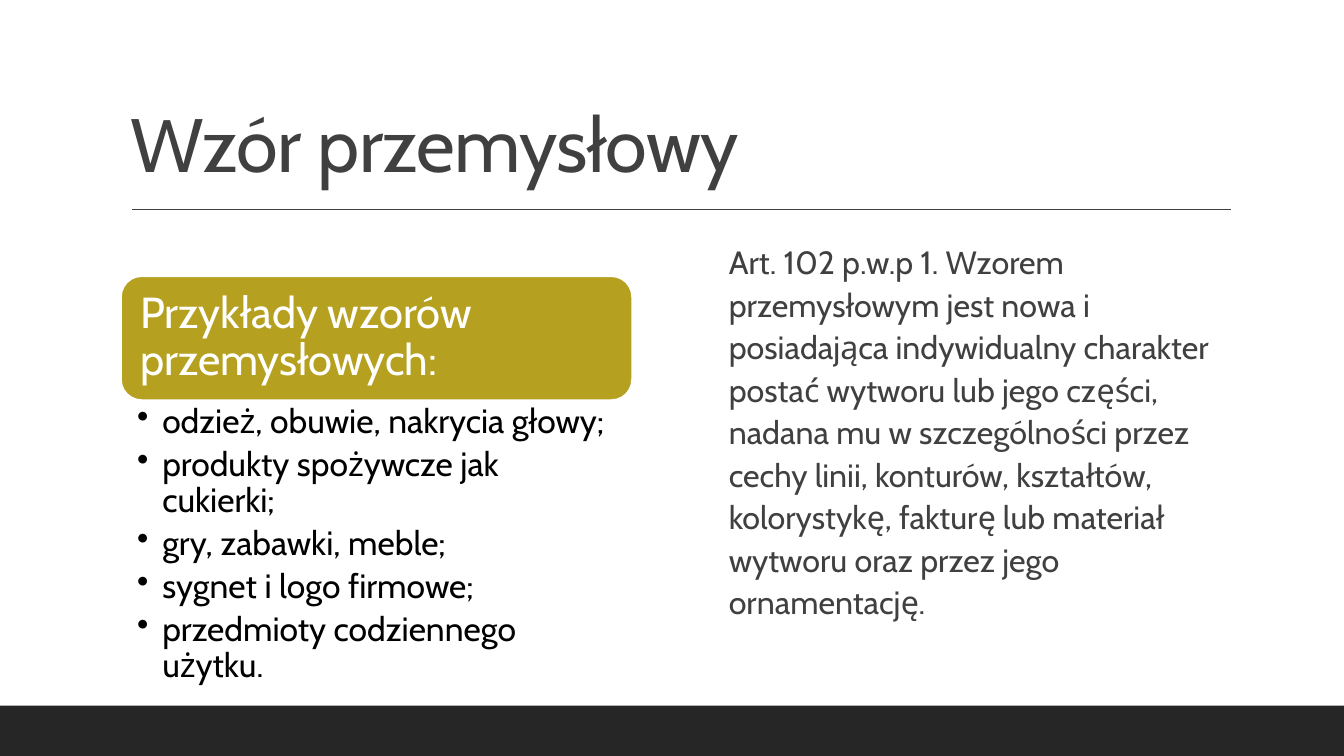
from dataclasses import dataclass

from lxml import etree
from pptx import Presentation
from pptx import util as u
from pptx.dml.color import RGBColor
from pptx.enum import shapes as sh, text as tx
from pptx.oxml.ns import qn
from pptx.shapes.base import BaseShape


@dataclass(frozen=True)
class Theme:
    font: str = "Cabin"
    ink: str = "404040"
    black: str = "000000"
    white: str = "FFFFFF"
    gold: str = "B6A020"
    dark: str = "262626"
    title: int = 54
    head: int = 31
    list: int = 24
    body: int = 23


@dataclass(frozen=True)
class Box:
    left: float
    top: float
    width: float
    height: float

    def span(self) -> list[int]:
        return [u.Inches(n) for n in (self.left, self.top, self.width, self.height)]


@dataclass(frozen=True)
class Style:
    size: int
    color: str
    pad: tuple[float, float, float, float]  # left, top, right, bottom
    line: float
    after: float = 0
    anchor: tx.MSO_ANCHOR = tx.MSO_ANCHOR.TOP
    indent: float = 0
    bullet: str = ""
    track: int = 0  # hundredths of a point


T = Theme()
TITLE = Style(T.title, T.ink, (0.1, 0.05, 0.1, 0.05), 0.8,
              anchor=tx.MSO_ANCHOR.BOTTOM, track=-50)
HEAD = Style(T.head, T.white, (0.13,) * 4, 0.9, anchor=tx.MSO_ANCHOR.MIDDLE)
LIST = Style(T.list, T.black, (0.16, 0.04, 0.24, 0.04), 0.9, after=4.8,
             indent=0.25, bullet="•")
BODY = Style(T.body, T.ink, (0.1, 0.05, 0, 0.05), 1.1, after=2)

ITEMS = [
    "odzież, obuwie, nakrycia głowy;",
    "produkty spożywcze jak cukierki;",
    "gry, zabawki, meble;",
    "sygnet i logo firmowe;",
    "przedmioty codziennego użytku.",
]
LAW = (
    "Art. 102 p.w.p 1. Wzorem przemysłowym jest nowa i posiadająca "
    "indywidualny charakter postać wytworu lub jego części, nadana mu w "
    "szczególności przez cechy linii, konturów, kształtów, kolorystykę, "
    "fakturę lub materiał wytworu oraz przez jego ornamentację."
)


def write(shape: BaseShape, lines: list[str], style: Style) -> None:
    frame = shape.text_frame
    frame.text = "\n".join(lines)
    frame.word_wrap = True
    frame.vertical_anchor = style.anchor
    (frame.margin_left, frame.margin_top,
     frame.margin_right, frame.margin_bottom) = map(u.Inches, style.pad)
    for para in frame.paragraphs:
        para.alignment = tx.PP_ALIGN.LEFT
        para.line_spacing = style.line
        para.space_after = u.Pt(style.after)
        if style.bullet:
            props = para._p.get_or_add_pPr()
            props.set("marL", str(u.Inches(style.indent)))
            props.set("indent", str(-u.Inches(style.indent)))
            etree.SubElement(props, qn("a:buChar"), char=style.bullet)
        for run in para.runs:
            run.font.name = T.font
            run.font.size = u.Pt(style.size)
            run.font.color.rgb = RGBColor.from_string(style.color)
            if style.track:
                run.font._element.set("spc", str(style.track))


def block(slide, kind: sh.MSO_SHAPE, box: Box, fill: str) -> BaseShape:
    shape = slide.shapes.add_shape(kind, *box.span())
    shape.shadow.inherit = False
    shape.fill.solid()
    shape.fill.fore_color.rgb = RGBColor.from_string(fill)
    shape.line.fill.background()
    return shape


def label(slide, box: Box, lines: list[str], style: Style) -> None:
    write(slide.shapes.add_textbox(*box.span()), lines, style)


def main() -> None:
    deck = Presentation()
    deck.slide_width, deck.slide_height = u.Inches(13.33), u.Inches(7.5)
    slide = deck.slides.add_slide(deck.slide_layouts[6])

    # Footer band and title rule
    block(slide, sh.MSO_SHAPE.RECTANGLE, Box(0, 7, 13.33, 0.5), T.dark)
    rule = slide.shapes.add_connector(
        sh.MSO_CONNECTOR.STRAIGHT,
        *map(u.Inches, (1.31, 2.08, 12.21, 2.08)))
    rule.line.color.rgb = RGBColor.from_string(T.ink)
    rule.line.width = u.Pt(1)
    etree.SubElement(rule._element.spPr, qn("a:effectLst"))

    # Title
    label(slide, Box(1.2, 0.31, 11, 1.59), ["Wzór przemysłowy"], TITLE)

    # Left column: heading card and examples
    card = block(slide, sh.MSO_SHAPE.ROUNDED_RECTANGLE,
                 Box(1.2, 2.74, 5.07, 1.23), T.gold)
    card.line.color.rgb = RGBColor.from_string(T.white)
    card.line.width = u.Pt(1.25)
    write(card, ["Przykłady wzorów przemysłowych:"], HEAD)
    label(slide, Box(1.2, 3.97, 5.07, 2.04), ITEMS, LIST)

    # Right column: legal definition
    label(slide, Box(7.13, 2.32, 5.07, 4.1), [LAW], BODY)

    deck.save("out.pptx")


if __name__ == "__main__":
    main()
